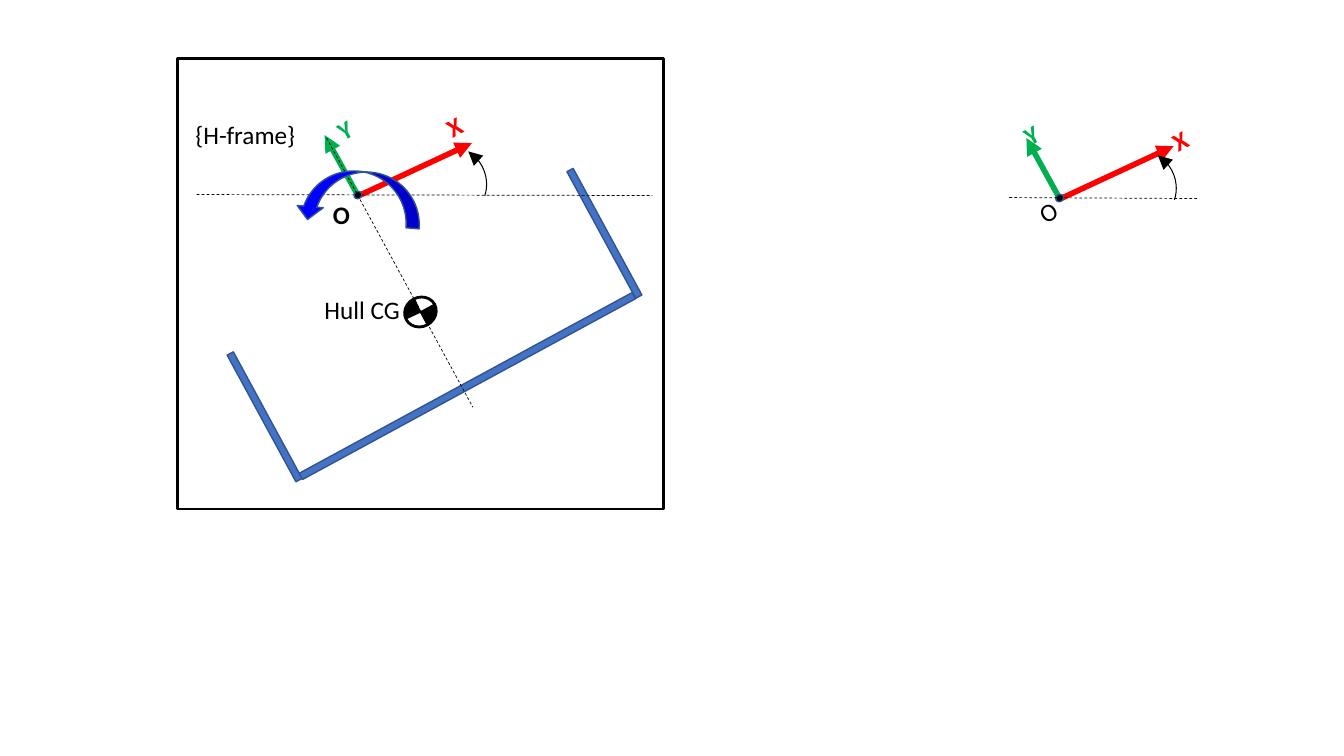
from dataclasses import dataclass

from lxml import etree
from pptx import Presentation
from pptx.dml.color import RGBColor
from pptx.enum.dml import MSO_LINE
from pptx.enum.shapes import MSO_CONNECTOR, MSO_SHAPE
from pptx.enum.text import MSO_AUTO_SIZE, PP_ALIGN
from pptx.oxml.ns import qn
from pptx.util import Pt

PX = 9144  # 100 px to the inch
STRAIGHT = MSO_CONNECTOR.STRAIGHT
RECTANGLE, ELLIPSE = MSO_SHAPE.RECTANGLE, MSO_SHAPE.OVAL
PIE, ARC, TURN_ARROW = MSO_SHAPE.PIE, MSO_SHAPE.ARC, MSO_SHAPE.CURVED_UP_ARROW
DASH = MSO_LINE.DASH
FIT_SHAPE = MSO_AUTO_SIZE.SHAPE_TO_FIT_TEXT
LEFT, CENTER = PP_ALIGN.LEFT, PP_ALIGN.CENTER
TILT = 331.5


@dataclass(frozen=True)
class Theme:
    black = RGBColor(0, 0, 0)
    x_axis = RGBColor(0xFF, 0, 0)
    y_axis = RGBColor(0, 0xB0, 0x50)
    hull = RGBColor(0x44, 0x72, 0xC4)
    outline = RGBColor(0x32, 0x54, 0x91)
    turn = RGBColor(0, 0, 0xFF)
    font = "Calibri"
    text_size = 18
    hairline = 0.5
    arc_line = 0.75
    thin = 1
    medium = 2
    thick = 4


THEME = Theme()


def add_arrowhead(line, end, size):
    """Put a triangle on a line; end is 'headEnd' or 'tailEnd'."""
    line_xml = line._get_or_add_ln()
    etree.SubElement(line_xml, qn(f"a:{end}"), type="triangle", w=size, len=size)


def add_line(shapes, origin, start, end, color, width):
    """Draw a line whose ends are offsets from the origin."""
    x, y = origin
    connector = shapes.add_connector(
        STRAIGHT, (x + start[0]) * PX, (y + start[1]) * PX,
        (x + end[0]) * PX, (y + end[1]) * PX)
    connector.line.color.rgb = color
    connector.line.width = Pt(width)
    etree.SubElement(connector._element.spPr, qn("a:effectLst"))
    return connector


def add_dashed_line(shapes, origin, start, end):
    add_line(shapes, origin, start, end, THEME.black, THEME.hairline).line.dash_style = DASH


def add_figure(shapes, kind, origin, box, fill, line, width, rotation=0, angles=()):
    """Draw a preset shape; box is offset x, offset y, width, height."""
    x, y, w, h = box
    shape = shapes.add_shape(kind, (origin[0] + x) * PX, (origin[1] + y) * PX, w * PX, h * PX)
    shape.shadow.inherit = False
    shape.rotation = rotation
    for index, angle in enumerate(angles):
        shape.adjustments[index] = angle
    if fill is None:
        shape.fill.background()
    else:
        shape.fill.solid()
        shape.fill.fore_color.rgb = fill
    shape.line.color.rgb = line
    shape.line.width = Pt(width)
    return shape


def add_label(shapes, origin, box, text, color=THEME.black, bold=False, rotation=0, align=LEFT):
    x, y, w, h = box
    label = shapes.add_textbox((origin[0] + x) * PX, (origin[1] + y) * PX, w * PX, h * PX)
    label.rotation = rotation
    frame = label.text_frame
    frame.word_wrap = False
    frame.auto_size = FIT_SHAPE
    paragraph = frame.paragraphs[0]
    paragraph.text = text
    paragraph.alignment = align
    font = paragraph.font
    font.name, font.size, font.bold = THEME.font, Pt(THEME.text_size), bold
    font.color.rgb = color


def add_axes(shapes, origin, x_label, y_label):
    """Draw the tilted X and Y axes, their letters and the origin dot."""
    axes = (((0, 0), (114, -53), THEME.x_axis), ((1, -1), (-32, -61), THEME.y_axis))
    for start, end, color in axes:
        axis = add_line(shapes, origin, start, end, color, THEME.thick)
        add_arrowhead(axis.line, "tailEnd", "med")
    for text, place, color in (("X", x_label, THEME.x_axis), ("Y", y_label, THEME.y_axis)):
        add_label(shapes, origin, (*place, 17, 20), text, color, True, TILT)
    add_figure(shapes, ELLIPSE, origin, (-3, -5, 8, 7), THEME.black,
               THEME.outline, THEME.thin, TILT)


def add_heading_angle(shapes, origin, left, right, arc_place):
    """Draw the level reference line and the arc up to the X axis."""
    add_dashed_line(shapes, origin, (left, -2), (right, -1))
    arc = add_figure(shapes, ARC, origin, (*arc_place, 74, 70), None, THEME.black,
                     THEME.arc_line, 55.2, (146.63, 195.66))
    add_arrowhead(arc.line, "headEnd", "lg")


def add_hull(shapes, corner):
    walls = (((83, 284, 7, 143), TILT), ((284, 137, 7, 376), TILT - 270),
             ((420, 102, 7, 143), TILT))
    for box, rotation in walls:
        add_figure(shapes, RECTANGLE, corner, box, THEME.hull, THEME.outline,
                   THEME.thin, rotation)


def add_gravity_center(shapes, corner):
    box = (225, 237, 32, 29)
    for rotation in (334.8, 151.5):
        add_figure(shapes, PIE, corner, box, THEME.black, THEME.black, THEME.thin,
                   rotation, (108, 162))
    add_figure(shapes, ELLIPSE, corner, box, None, THEME.black, THEME.medium, TILT)


def draw_hull_panel(slide, box):
    left, top, width, height = box
    corner = (left, top)
    origin = (left + 178, top + 137)
    shapes = slide.shapes.add_group_shape().shapes
    add_hull(shapes, corner)
    add_axes(shapes, origin, (78, -86), (-30, -83))
    add_label(shapes, origin, (-34, -2, 37, 40), "O", bold=True, align=CENTER)
    add_dashed_line(shapes, corner, (148, 79), (293, 346))
    add_gravity_center(shapes, corner)
    add_heading_angle(shapes, origin, -159, 293, (56, -49))

    add_label(slide.shapes, corner, (8, 55, 120, 40), "{H-frame}")
    add_label(slide.shapes, corner, (136, 229, 96, 40), "Hull CG")
    add_figure(slide.shapes, TURN_ARROW, corner, (118, 112, 124, 52), THEME.turn,
               THEME.outline, THEME.thin, 184.8)


def draw_axes_panel(slide, box):
    left, top, width, height = box
    origin = (left + 49, top + height)
    shapes = slide.shapes.add_group_shape().shapes
    add_axes(shapes, origin, (102, -75), (-45, -81))
    add_label(shapes, origin, (-31, -3, 18, 20), "O", rotation=TILT)
    add_heading_angle(shapes, origin, -49, width - 49, (44, -48))


def main():
    presentation = Presentation()
    presentation.slide_width, presentation.slide_height = 1333 * PX, 750 * PX
    slide = presentation.slides.add_slide(presentation.slide_layouts[6])
    panel = (176, 58, 482, 447)
    draw_hull_panel(slide, panel)
    draw_axes_panel(slide, (1001, 123, 187, 75))
    add_figure(slide.shapes, RECTANGLE, (0, 0), panel, None, THEME.black, THEME.medium)
    presentation.save("out.pptx")


if __name__ == "__main__":
    main()
